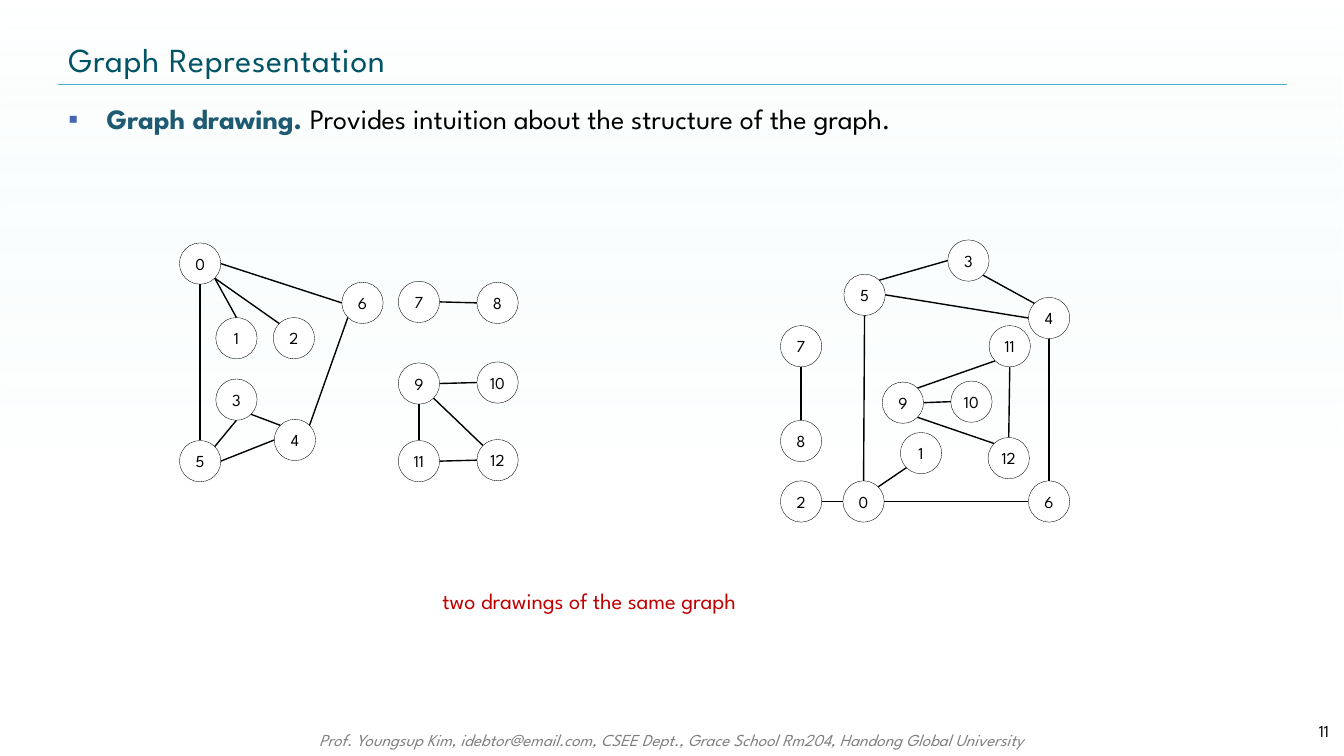
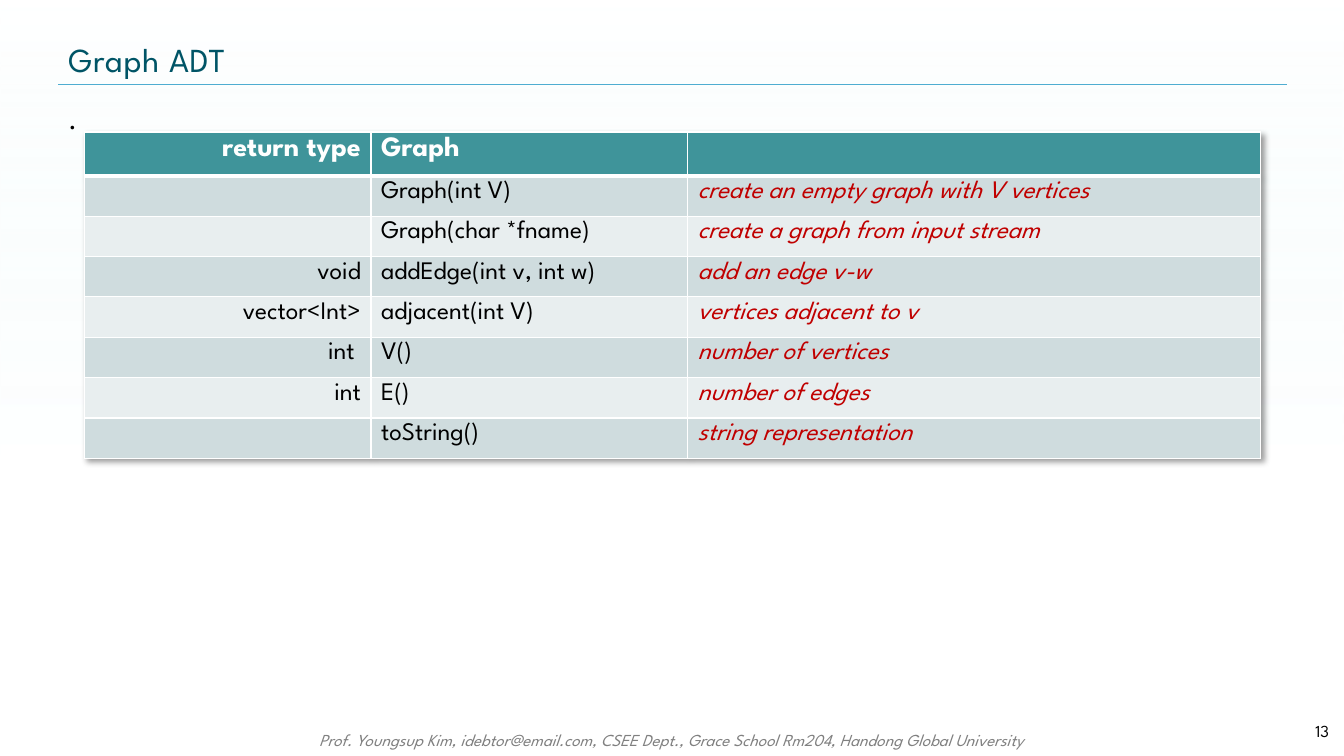
"""Build two slides on graphs: two drawings of one graph, and its ADT table."""
from dataclasses import dataclass
from math import cos, radians, sin

from lxml.etree import SubElement
from pptx import Presentation
from pptx.dml.color import RGBColor
from pptx.enum.shapes import MSO_CONNECTOR, MSO_SHAPE
from pptx.enum.text import MSO_ANCHOR, PP_ALIGN
from pptx.oxml.ns import qn
from pptx.presentation import Presentation as Deck
from pptx.shapes.autoshape import Shape
from pptx.shapes.connector import Connector
from pptx.slide import Slide
from pptx.table import _Cell
from pptx.util import Inches, Pt

LEFT, CENTER, RIGHT = PP_ALIGN.LEFT, PP_ALIGN.CENTER, PP_ALIGN.RIGHT
TOP, MIDDLE = MSO_ANCHOR.TOP, MSO_ANCHOR.MIDDLE
OVAL, RECTANGLE = MSO_SHAPE.OVAL, MSO_SHAPE.RECTANGLE
STRAIGHT = MSO_CONNECTOR.STRAIGHT

FONT = "League Spartan"
BLACK, WHITE, RED, GREY = "000000", "FFFFFF", "C00000", "808080"
TITLE_COLOR, RULE_COLOR = "005466", "4FADD1"
KEY_COLOR, BULLET_COLOR = "1E5B72", "4764B0"
HEADER_FILL, BAND_FILLS = "3F949A", ("E8EEEF", "CFDCDE")
BACKDROP_STOPS = ((0, "D9F3F4", 0), (0.61, WHITE, 40))
FOOTER = ("Prof. Youngsup Kim, idebtor@email.com, CSEE Dept., "
          "Grace School Rm204, Handong Global University")

SLIDE_WIDTH, SLIDE_HEIGHT = 13.33, 7.5
CONTENT_LEFT, CONTENT_WIDTH = 0.58, 12.18
NODE_SIZE = 0.41
SITES = ("N", "NW", "W", "SW", "S", "SE", "E", "NE")


@dataclass(frozen=True)
class Span:
    """A piece of text with one format."""
    text: str
    size: float
    color: str = BLACK
    bold: bool = False
    italic: bool = False


@dataclass(frozen=True)
class Edge:
    """A line between two nodes, each end at a compass site."""
    start: int
    start_site: str
    end: int
    end_site: str


@dataclass(frozen=True)
class Drawing:
    """Node corners by label, and the edges between the nodes."""
    nodes: dict[int, tuple[float, float]]
    edges: tuple[Edge, ...]


@dataclass(frozen=True)
class Method:
    """One row of the ADT table."""
    result: str
    call: str
    purpose: str


LEFT_DRAWING = Drawing(
    {0: (1.78, 2.41), 1: (2.14, 3.15), 2: (2.71, 3.15), 3: (2.14, 3.76),
     4: (2.72, 4.16), 5: (1.78, 4.37), 6: (3.39, 2.8), 7: (3.95, 2.79),
     8: (4.73, 2.8), 9: (3.95, 3.6), 10: (4.73, 3.59), 11: (3.95, 4.37),
     12: (4.73, 4.36)},
    (Edge(0, "S", 5, "N"), Edge(0, "SE", 2, "NW"), Edge(0, "SE", 1, "N"),
     Edge(6, "W", 0, "E"), Edge(6, "SW", 4, "NE"), Edge(4, "W", 5, "E"),
     Edge(3, "S", 5, "NE"), Edge(3, "SE", 4, "NW"), Edge(8, "W", 7, "E"),
     Edge(10, "W", 9, "E"), Edge(12, "NW", 9, "SE"), Edge(12, "W", 11, "E"),
     Edge(9, "S", 11, "N")))

RIGHT_DRAWING = Drawing(
    {0: (8.36, 4.77), 1: (8.93, 4.29), 2: (7.74, 4.77), 3: (9.4, 2.38),
     4: (10.2, 2.95), 5: (8.37, 2.72), 6: (10.2, 4.77), 7: (7.74, 3.23),
     8: (7.74, 4.17), 9: (8.75, 3.79), 10: (9.43, 3.78), 11: (9.81, 3.23),
     12: (9.8, 4.34)},
    (Edge(5, "S", 0, "N"), Edge(0, "W", 2, "E"), Edge(0, "NE", 1, "SW"),
     Edge(4, "W", 5, "E"), Edge(4, "S", 6, "N"), Edge(6, "W", 0, "E"),
     Edge(3, "W", 5, "NE"), Edge(3, "SE", 4, "NW"), Edge(8, "N", 7, "S"),
     Edge(10, "W", 9, "E"), Edge(12, "NW", 9, "SE"), Edge(12, "N", 11, "S"),
     Edge(9, "NE", 11, "SW")))

METHODS = (
    Method("", "Graph(int V)", "create an empty graph with V vertices"),
    Method("", "Graph(char *fname)", "create a graph from input stream"),
    Method("void", "addEdge(int v, int w)", "add an edge v-w"),
    Method("vector<Int>", "adjacent(int V)", "vertices adjacent to v"),
    Method("int ", "V()", "number of vertices"),
    Method("int", "E()", "number of edges"),
    Method("", "toString()", "string representation"),
)


def rgb(color: str) -> RGBColor:
    """Turn a hex string into a colour."""
    return RGBColor.from_string(color)


def write(frame, spans: tuple[Span, ...], align=LEFT):
    """Write the spans into the first paragraph of a frame."""
    para = frame.paragraphs[0]
    para.alignment = align
    for span in spans:
        run = para.add_run()
        run.text = span.text
        formats = {"name": FONT, "size": Pt(span.size),
                   "bold": span.bold, "italic": span.italic}
        for name, value in formats.items():
            setattr(run.font, name, value)
        run.font.color.rgb = rgb(span.color)
    return para


def add_text(page: Slide, area: tuple[float, float, float, float],
             spans: tuple[Span, ...], align=LEFT, anchor=TOP,
             wrap: bool = True, top_inset: float = 0.05):
    """Add a text box and return its paragraph."""
    frame = page.shapes.add_textbox(*map(Inches, area)).text_frame
    formats = {"word_wrap": wrap, "vertical_anchor": anchor,
               "margin_top": Inches(top_inset)}
    for name, value in formats.items():
        setattr(frame, name, value)
    return write(frame, spans, align)


def add_line(page: Slide, start: tuple[float, float],
             end: tuple[float, float], color: str, width: float) -> Connector:
    """Add a straight line without shadow."""
    line = page.shapes.add_connector(STRAIGHT, *map(Inches, start + end))
    line.line.color.rgb = rgb(color)
    line.line.width = Pt(width)
    SubElement(line._element.spPr, qn("a:effectLst"))
    return line


def add_backdrop(page: Slide) -> None:
    """Cover the page with the faint gradient."""
    box = page.shapes.add_shape(RECTANGLE, 0, 0, Inches(SLIDE_WIDTH),
                                Inches(SLIDE_HEIGHT))
    box.shadow.inherit = False
    box.line.fill.background()
    box.fill.gradient()
    box.fill.gradient_angle = 270
    for stop, (position, color, alpha) in zip(box.fill.gradient_stops,
                                              BACKDROP_STOPS):
        stop.position = position
        stop.color.rgb = rgb(color)
        mark = next(box._element.iter(qn("a:gradFill"))).find(
            f".//{qn('a:srgbClr')}[@val='{color}']")
        SubElement(mark, qn("a:alpha"), val=str(alpha * 1000))


def add_page(deck: Deck, title: str, number: int) -> Slide:
    """Add a page with backdrop, footer, rule, title and number."""
    page = deck.slides.add_slide(deck.slide_layouts[6])
    add_backdrop(page)
    add_text(page, (1.98, 7.19, 9.37, 0.3),
             (Span(FOOTER, 12, GREY, italic=True),), CENTER)
    add_line(page, (CONTENT_LEFT, 0.84), (CONTENT_LEFT + CONTENT_WIDTH, 0.84),
             RULE_COLOR, 0.25)
    heading = add_text(page, (CONTENT_LEFT, 0.34, CONTENT_WIDTH, 0.5),
                       (Span(title, 24, TITLE_COLOR),), anchor=MIDDLE)
    heading.runs[0].font._element.set("spc", "50")
    add_text(page, (12.11, 7.05, 1.17, 0.4), (Span(str(number), 12),),
             RIGHT, MIDDLE)
    return page


def add_body(page: Slide, spans: tuple[Span, ...]):
    """Add the body text and return its paragraph."""
    return add_text(page, (CONTENT_LEFT, 0.9, CONTENT_WIDTH, 6.15), spans,
                    top_inset=0.11)


def add_bullet(para) -> None:
    """Give a paragraph a square bullet with a hanging indent."""
    props = para._element.get_or_add_pPr()
    props.set("marL", str(Inches(0.38)))
    props.set("indent", str(-Inches(0.38)))
    SubElement(SubElement(props, qn("a:buClr")), qn("a:srgbClr"),
               val=BULLET_COLOR)
    SubElement(props, qn("a:buFont"), typeface="Arial")
    SubElement(props, qn("a:buChar"), char="▪")


def add_node(page: Slide, label: int, corner: tuple[float, float]) -> Shape:
    """Add a labelled circle."""
    node = page.shapes.add_shape(OVAL, *map(Inches, corner),
                                 Inches(NODE_SIZE), Inches(NODE_SIZE))
    node.shadow.inherit = False
    node.fill.solid()
    node.fill.fore_color.rgb = rgb(WHITE)
    node.line.color.rgb = rgb(BLACK)
    node.line.width = Pt(0.25)
    frame = node.text_frame
    for side in ("left", "top", "right", "bottom"):
        setattr(frame, f"margin_{side}", 0)
    frame.vertical_anchor = MIDDLE
    write(frame, (Span(str(label), 12),), CENTER)
    return node


def site_point(corner: tuple[float, float], site: str) -> tuple[float, float]:
    """Find the point of a node's rim at a compass site."""
    angle = radians(90 + 45 * SITES.index(site))
    radius = NODE_SIZE / 2
    return (corner[0] + radius * (1 + cos(angle)),
            corner[1] + radius * (1 - sin(angle)))


def add_drawing(page: Slide, drawing: Drawing) -> None:
    """Draw the nodes and join them with glued edges."""
    corners = drawing.nodes
    nodes = {label: add_node(page, label, corner)
             for label, corner in corners.items()}
    for edge in drawing.edges:
        line = add_line(page, site_point(corners[edge.start], edge.start_site),
                        site_point(corners[edge.end], edge.end_site), BLACK, 1)
        joints = line._element.nvCxnSpPr.cNvCxnSpPr
        for tag, label, site in (("a:stCxn", edge.start, edge.start_site),
                                 ("a:endCxn", edge.end, edge.end_site)):
            SubElement(joints, qn(tag), id=str(nodes[label].shape_id),
                       idx=str(SITES.index(site)))


def fill_cell(cell: _Cell, span: Span, align, fill: str, row: int) -> None:
    """Set the borders, fill and text of a table cell."""
    props = cell._tc.get_or_add_tcPr()
    for side in "LRTB":
        heavy = (row, side) in ((0, "B"), (1, "T"))
        border = SubElement(props, qn(f"a:ln{side}"),
                            w=str(Pt(3 if heavy else 1)))
        SubElement(SubElement(border, qn("a:solidFill")), qn("a:srgbClr"),
                   val=WHITE)
    cell.fill.solid()
    cell.fill.fore_color.rgb = rgb(fill)
    if span.text:
        write(cell.text_frame, (span,), align)
    else:
        SubElement(cell.text_frame.paragraphs[0]._element,
                   qn("a:endParaRPr"), sz="1200")


def add_method_table(page: Slide) -> None:
    """Add the table of graph methods with a soft shadow."""
    widths = (2.84, 3.14, 5.68)
    heights = (0.38,) + (0.35,) * len(METHODS)
    table = page.shapes.add_table(
        len(heights), len(widths), Inches(0.84), Inches(1.31),
        Inches(sum(widths)), Inches(sum(heights))).table
    table.horz_banding = False
    for column, width in zip(table.columns, widths):
        column.width = Inches(width)
    for row, height in zip(table.rows, heights):
        row.height = Inches(height)

    props = table._tbl.tblPr
    effects = SubElement(props, qn("a:effectLst"))
    props.insert(0, effects)
    shadow = SubElement(effects, qn("a:outerShdw"), blurRad=str(Pt(4)),
                        dist=str(Pt(3)), dir="2700000", algn="tl")
    SubElement(SubElement(shadow, qn("a:srgbClr"), val=BLACK),
               qn("a:alpha"), val="40000")

    rows = [[Span(text, 20, WHITE, bold=True)
             for text in ("return type", "Graph", "")]]
    rows += [[Span(method.result, 18), Span(method.call, 18),
              Span(method.purpose, 18, RED, italic=True)]
             for method in METHODS]
    for index, spans in enumerate(rows):
        fill = BAND_FILLS[index % 2] if index else HEADER_FILL
        for column, (span, align) in enumerate(zip(spans, (RIGHT, LEFT, LEFT))):
            fill_cell(table.cell(index, column), span, align, fill, index)


def main() -> None:
    """Build and save the deck."""
    deck = Presentation()
    deck.slide_width, deck.slide_height = Inches(SLIDE_WIDTH), Inches(SLIDE_HEIGHT)

    page = add_page(deck, "Graph Representation", 11)
    add_bullet(add_body(page, (
        Span("Graph drawing. ", 20, KEY_COLOR, bold=True),
        Span("Provides intuition about the structure of the graph.", 20))))
    add_text(page, (4.29, 5.78, 3.73, 0.37),
             (Span("two drawings of the same graph", 16, RED),), wrap=False)
    for drawing in (LEFT_DRAWING, RIGHT_DRAWING):
        add_drawing(page, drawing)

    page = add_page(deck, "Graph ADT", 13)
    add_body(page, (Span(".", 20),))
    add_method_table(page)
    deck.save("out.pptx")


if __name__ == "__main__":
    main()
